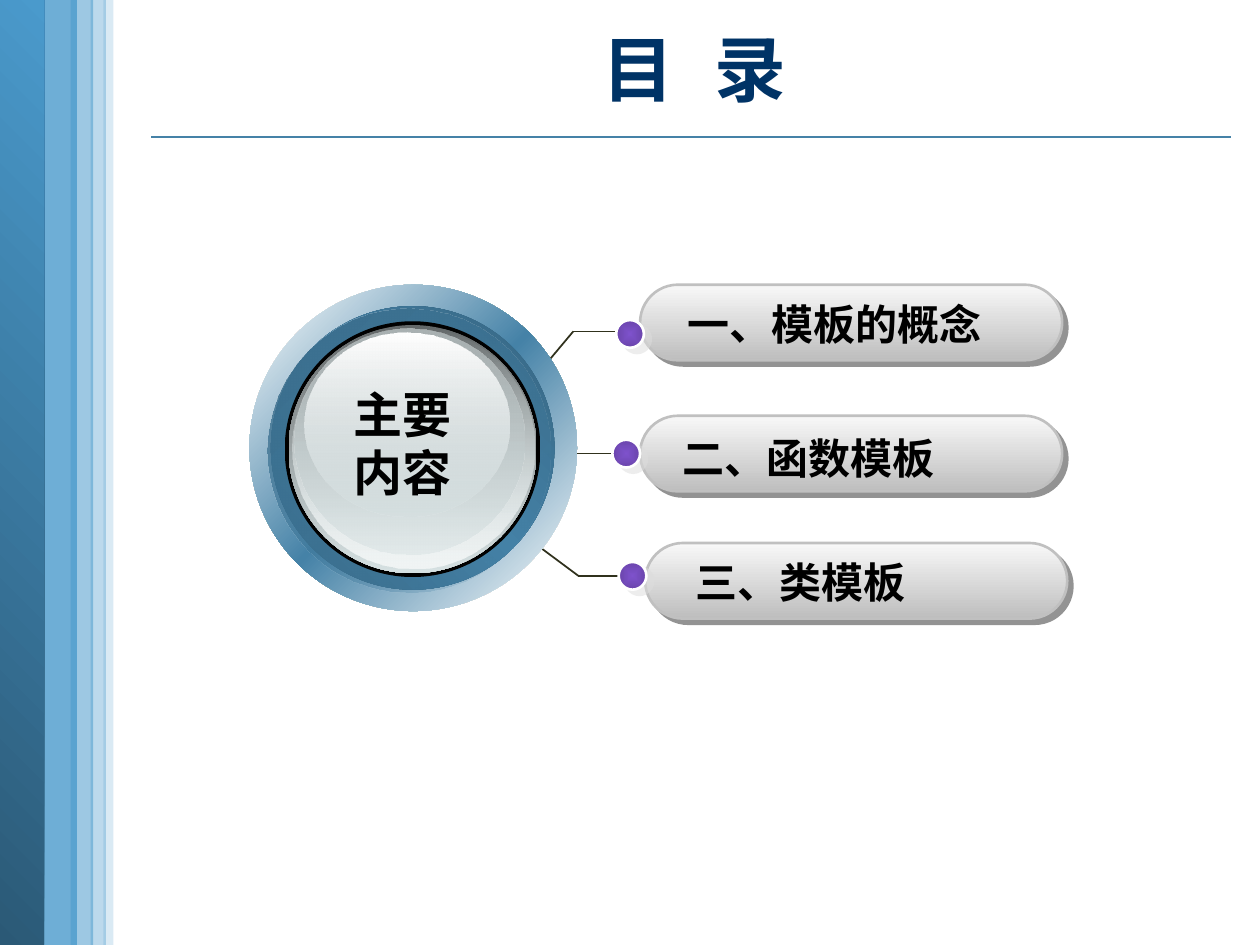
from dataclasses import dataclass

from pptx import Presentation
from pptx.dml.color import RGBColor
from pptx.enum.shapes import MSO_CONNECTOR, MSO_SHAPE
from pptx.enum.text import MSO_ANCHOR, MSO_AUTO_SIZE, PP_ALIGN
from pptx.oxml import parse_xml
from pptx.oxml.ns import qn
from pptx.util import Inches, Pt

RECT, OVAL, PILL = MSO_SHAPE.RECTANGLE, MSO_SHAPE.OVAL, MSO_SHAPE.ROUNDED_RECTANGLE
STRAIGHT = MSO_CONNECTOR.STRAIGHT
CENTER, LEFT = PP_ALIGN.CENTER, PP_ALIGN.LEFT
TOP, MIDDLE = MSO_ANCHOR.TOP, MSO_ANCHOR.MIDDLE
NS = 'xmlns:a="http://schemas.openxmlformats.org/drawingml/2006/main"'


@dataclass(frozen=True)
class Theme:
    font: str = "Arial"
    title_size: int = 41
    hub_size: int = 28
    label_size: int = 24
    title: str = "003366"
    text: str = "000000"
    blue: str = "4582A7"
    band: str = "4A9ACC"
    band_dark: str = "2B5976"
    leader: str = "30311D"
    white: str = "FFFFFF"
    pill: tuple = ("F8F8F8", "BEBEBE")
    pill_line: str = "C0C0C0"
    pill_shadow: str = "292929"
    dot: tuple = ("7E52CC", "6A45AB")
    dot_shadow: str = "DDDDDD"
    glass: str = "D6E1E2"


T = Theme()


def color_xml(color, alpha=100):
    return f'<a:srgbClr val="{color}"><a:alpha val="{alpha * 1000}"/></a:srgbClr>'


def set_gradient(sp, stops, angle=None):
    """Spread colours or (colour, alpha) pairs evenly; no angle means from the centre out."""
    pairs = [(s, 100) if isinstance(s, str) else s for s in stops]
    step = 100000 // (len(pairs) - 1)
    gs = "".join(f'<a:gs pos="{i * step}">{color_xml(*pair)}</a:gs>'
                 for i, pair in enumerate(pairs))
    if angle is None:
        way = ('<a:path path="shape"><a:fillToRect l="50000" t="50000" '
               'r="50000" b="50000"/></a:path>')
    else:
        way = f'<a:lin ang="{angle * 60000}" scaled="0"/>'
    sp.fill.gradient()
    sp_pr = sp._element.spPr
    sp_pr.replace(sp_pr.find(qn("a:gradFill")),
                  parse_xml(f"<a:gradFill {NS}><a:gsLst>{gs}</a:gsLst>{way}</a:gradFill>"))


def set_shadow(sp, color, distance, angle):
    sp._element.spPr.find(qn("a:effectLst")).append(parse_xml(
        f'<a:outerShdw {NS} dist="{Pt(distance)}" dir="{angle * 60000}" algn="ctr" '
        f'rotWithShape="0">{color_xml(color, 50)}</a:outerShdw>'))


def add_shape(slide, kind, box, line=None):
    sp = slide.shapes.add_shape(kind, *map(Inches, box))
    sp.shadow.inherit = False
    if line:
        sp.line.color.rgb = RGBColor.from_string(line)
        sp.line.width = Pt(1.5)
    else:
        sp.line.fill.background()
    return sp


def add_line(slide, start, end, color):
    line = slide.shapes.add_connector(STRAIGHT, *map(Inches, (*start, *end)))
    line.line.color.rgb = RGBColor.from_string(color)
    line.line.width = Pt(1)
    line._element.spPr.append(parse_xml(f"<a:effectLst {NS}/>"))


def add_text(slide, box, text, size, color, align=CENTER, anchor=MIDDLE, wrap=True):
    tb = slide.shapes.add_textbox(*map(Inches, box))
    tf = tb.text_frame
    tf.word_wrap = wrap
    tf.auto_size = MSO_AUTO_SIZE.NONE if wrap else MSO_AUTO_SIZE.SHAPE_TO_FIT_TEXT
    tf.vertical_anchor = anchor
    tf.text = text
    for p in tf.paragraphs:
        p.alignment = align
        for r in p.runs:
            r.font.name, r.font.size, r.font.bold = T.font, Pt(size), True
            r.font.color.rgb = RGBColor.from_string(color)
            r.font._element.find(qn("a:latin")).addnext(
                parse_xml(f'<a:ea {NS} typeface="{T.font}"/>'))
    return tb


def add_sidebar(slide, x, y, height):
    def band(left, width, stops, angle=0):
        set_gradient(add_shape(slide, RECT, (x + left, y, width, height)), stops, angle)

    def tint(left, width, alpha):
        sp = add_shape(slide, RECT, (x + left, y, width, height))
        sp.fill.solid()
        sp.fill.fore_color.rgb = RGBColor.from_string(T.band)
        sp._element.spPr.find(qn("a:solidFill"))[0].append(
            parse_xml(f'<a:alpha {NS} val="{alpha * 1000}"/>'))

    tint(0.3, 0.31, 80)
    band(-0.01, 0.36, (T.band_dark, T.band), 315)
    for left, width, alpha in ((0.82, 0.08, 20), (0.56, 0.18, 54), (0.72, 0.12, 37)):
        tint(left, width, alpha)


def add_header(slide, x, y, width, height):
    add_line(slide, (x + 0.04, y + height), (x + width - 0.09, y + height), T.blue)
    tb = add_text(slide, (x, y, width, height), "目 录", T.title_size, T.title)
    tb.text_frame.paragraphs[0].runs[0].font._element.set("spc", "570")


def add_item(slide, x, y, text, label, dot, leader):
    """Pill at x, y; the label, dot and leader points are offsets from its corner."""
    pill = add_shape(slide, PILL, (x, y, 3.35, 0.6), T.pill_line)
    pill.adjustments[0] = 0.5
    set_gradient(pill, T.pill, 90)
    set_shadow(pill, T.pill_shadow, 4.2, 45)

    points = [(x + dx, y + dy) for dx, dy in leader]
    for start, end in zip(points, points[1:]):
        add_line(slide, start, end, T.leader)

    knob = add_shape(slide, OVAL, (x + dot[0], y + dot[1], 0.22, 0.22), T.white)
    set_gradient(knob, T.dot)
    set_shadow(knob, T.dot_shadow, 5, 37)

    width = 0.19 + 0.34 * len(text)
    add_text(slide, (x + label[0], y + label[1], width, 0.5), text,
             T.label_size, T.text, LEFT, wrap=False)


def add_hub(slide, x, y):
    """Glass button in a blue ring, its layers listed from back to front."""
    layers = (
        (0, 0, 2.6, 2.59, (T.white, T.blue, T.white), 45),
        (0.17, 0.17, 2.25, 2.25, ("356480", T.blue, "356480"), 315),
        (0.14, 0.19, 2.25, 2.25, ("396B89", (T.blue, 0)), 45),
        (0.28, 0.29, 2.03, 2.03, (T.text, T.text), 90),
        (0.31, 0.32, 1.97, 1.97, ("636869", T.glass), 90),
        (0.34, 0.33, 1.92, 1.92, ((T.glass, 0), "F1F5F5"), 90),
        (0.36, 0.35, 1.82, 1.79, ("AAB2B3", (T.glass, 48)), 90),
        (0.44, 0.38, 1.62, 1.46, (T.white, (T.glass, 38)), 90),
    )
    for dx, dy, width, height, stops, angle in layers:
        sp = add_shape(slide, OVAL, (x + dx, y + dy, width, height))
        set_gradient(sp, stops, angle)
    add_text(slide, (x + 0.4, y + 0.74, 1.63, 1.04), "主要\n内容",
             T.hub_size, T.text, anchor=TOP)


def main():
    prs = Presentation()
    prs.slide_width, prs.slide_height = Inches(10), Inches(7.5)
    slide = prs.slides.add_slide(prs.slide_layouts[6])
    add_sidebar(slide, 0, 0, 7.5)
    add_header(slide, 1.16, -0.02, 8.7, 1.11)
    items = (
        (5.08, 2.26, "一、模板的概念", (0.28, 0.06), (-0.19, 0.28),
         ((-0.84, 0.74), (-0.53, 0.37), (-0.04, 0.37))),
        (5.08, 3.3, "二、函数模板", (0.24, 0.08), (-0.22, 0.19),
         ((-0.73, 0.3), (-0.14, 0.3))),
        (5.12, 4.31, "三、类模板", (0.3, 0.06), (-0.21, 0.15),
         ((-0.92, -0.03), (-0.53, 0.26), (-0.01, 0.26))),
    )
    for item in items:
        add_item(slide, *item)
    add_hub(slide, 1.98, 2.26)
    prs.save("out.pptx")


if __name__ == "__main__":
    main()
